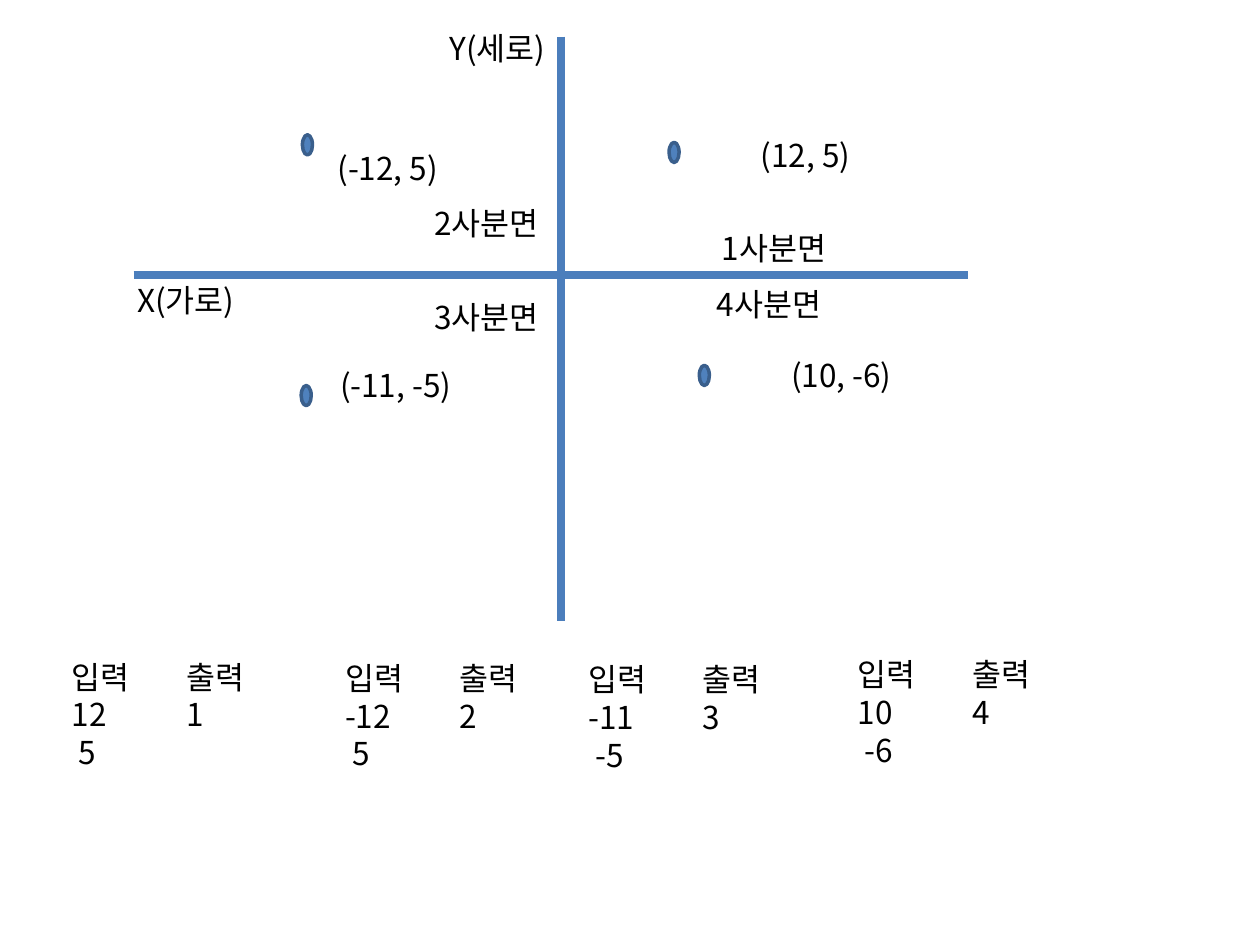
from lxml import etree
from pptx import Presentation
from pptx import util as u
from pptx.dml.color import RGBColor
from pptx.enum import shapes, text
from pptx.oxml.ns import qn

FONT = "Noto Sans CJK KR"
COLORS = {"axis": "4B7EBC", "dot": "4F81BD", "dot_line": "3A5F8C", "text": "000000"}


def color(name):
    return RGBColor.from_string(COLORS[name])


def add_label(s, x, y, w, h, lines, wrap=False):
    """Text box with one paragraph for each line."""
    sp = s.shapes.add_textbox(*map(u.Inches, (x, y, w, h)))
    tf = sp.text_frame
    frame_format = {"word_wrap": wrap, "auto_size": text.MSO_AUTO_SIZE.SHAPE_TO_FIT_TEXT}
    for name, value in frame_format.items():
        setattr(tf, name, value)
    for i, line in enumerate(lines):
        p = tf.paragraphs[0] if i == 0 else tf.add_paragraph()
        r = p.add_run()
        r.text = line
        for name, value in {"size": u.Pt(18), "name": FONT}.items():
            setattr(r.font, name, value)
        r.font.color.rgb = color("text")
        etree.SubElement(r.font._element, qn("a:ea"), typeface=FONT)


def add_axis(s, x1, y1, x2, y2):
    line = s.shapes.add_connector(
        shapes.MSO_CONNECTOR.STRAIGHT, *map(u.Inches, (x1, y1, x2, y2)))
    line.line.color.rgb = color("axis")
    line.line.width = u.Pt(4.5)
    etree.SubElement(line._element.spPr, qn("a:effectLst"))


def add_dot(s, x, y):
    dot = s.shapes.add_shape(
        shapes.MSO_SHAPE.OVAL, *map(u.Inches, (x, y, 0.08, 0.16)))
    dot.shadow.inherit = False
    dot.fill.solid()
    dot.fill.fore_color.rgb = color("dot")
    dot.line.color.rgb = color("dot_line")
    dot.line.width = u.Pt(2)


def add_plane(s, x, y, w, h):
    """Coordinate plane: axes, points and quadrant names, offset from its corner."""
    # Axes
    origin_x, origin_y = x + 3.39, y + 1.89
    add_axis(s, x, origin_y, x + w, origin_y)
    add_axis(s, origin_x, y, origin_x, y + h)
    add_label(s, x + 2.41, y - 0.11, 1, 0.4, ["Y(세로)"], wrap=True)
    add_label(s, x - 0.07, origin_y, 1.01, 0.4, ["X(가로)"], wrap=True)

    # Points: dot, label place, label width, wording
    points = [
        ((1.34, 0.78), (1.52, 0.84), 1.02, "(-12, 5)"),
        ((1.33, 2.77), (1.54, 2.57), 1.12, "(-11, -5)"),
        ((4.49, 2.61), (5.12, 2.49), 1.02, "(10, -6)"),
        ((4.25, 0.84), (4.88, 0.74), 0.92, "(12, 5)"),
    ]
    for (dx, dy), (lx, ly), lw, wording in points:
        add_dot(s, x + dx, y + dy)
        add_label(s, x + lx, y + ly, lw, 0.4, [wording])

    # Quadrant names
    places = [(4.57, 1.48), (2.29, 1.28), (2.29, 2.03), (4.53, 1.92)]
    for number, (qx, qy) in enumerate(places, 1):
        add_label(s, x + qx, y + qy, 1.1, 0.4, [f"{number}사분면"])


def add_example(s, x, y, inputs, output):
    """Input column with its output column beside it."""
    add_label(s, x, y, 0.71, 1.01, ["입력", *inputs])
    add_label(s, x + 0.91, y, 0.71, 1.31, ["출력", output])


prs = Presentation()
prs.slide_width, prs.slide_height = u.Inches(10), u.Inches(7.5)
s = prs.slides.add_slide(prs.slide_layouts[6])

add_plane(s, 1.06, 0.29, 6.62, 4.64)

# Examples, one for each quadrant
examples = [
    (0.47, 5.17, ("12", " 5")),
    (2.64, 5.18, ("-12", " 5")),
    (4.57, 5.19, ("-11", " -5")),
    (6.71, 5.15, ("10", " -6")),
]
for quadrant, (x, y, inputs) in enumerate(examples, 1):
    add_example(s, x, y, inputs, str(quadrant))

prs.save("out.pptx")
